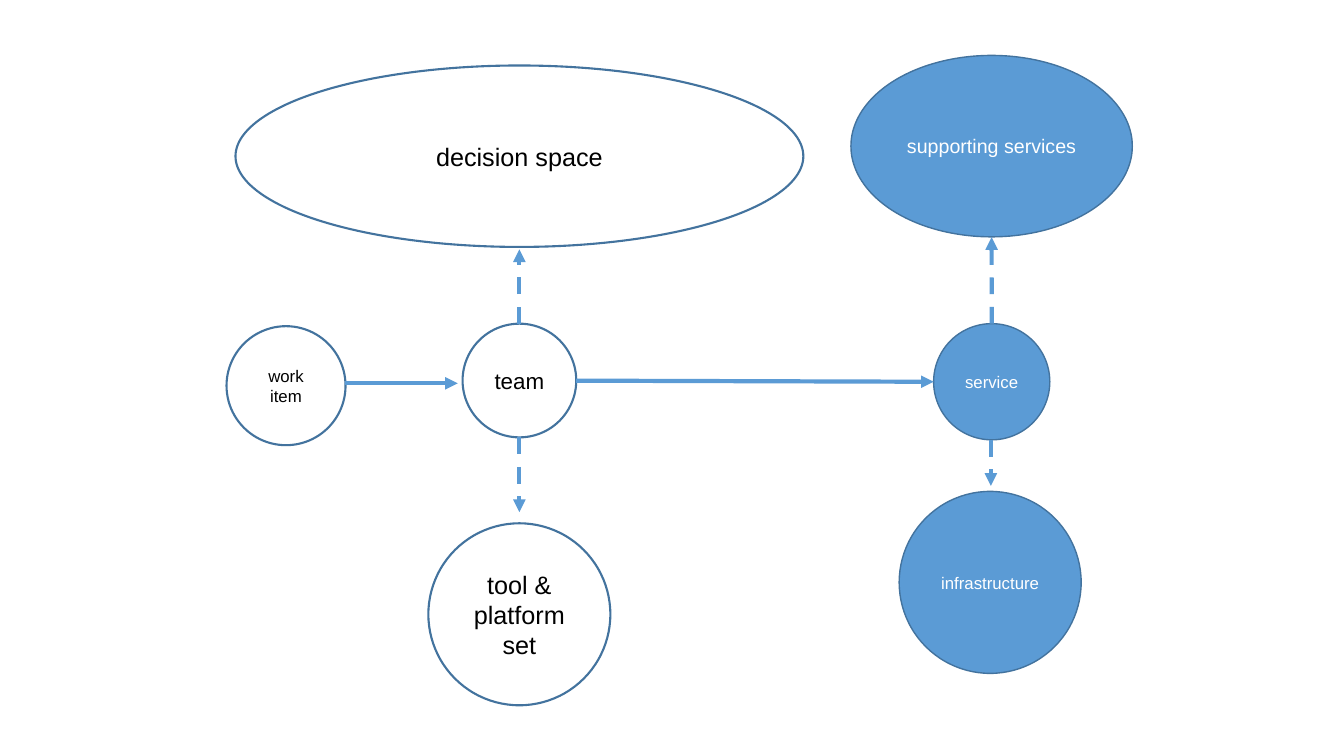
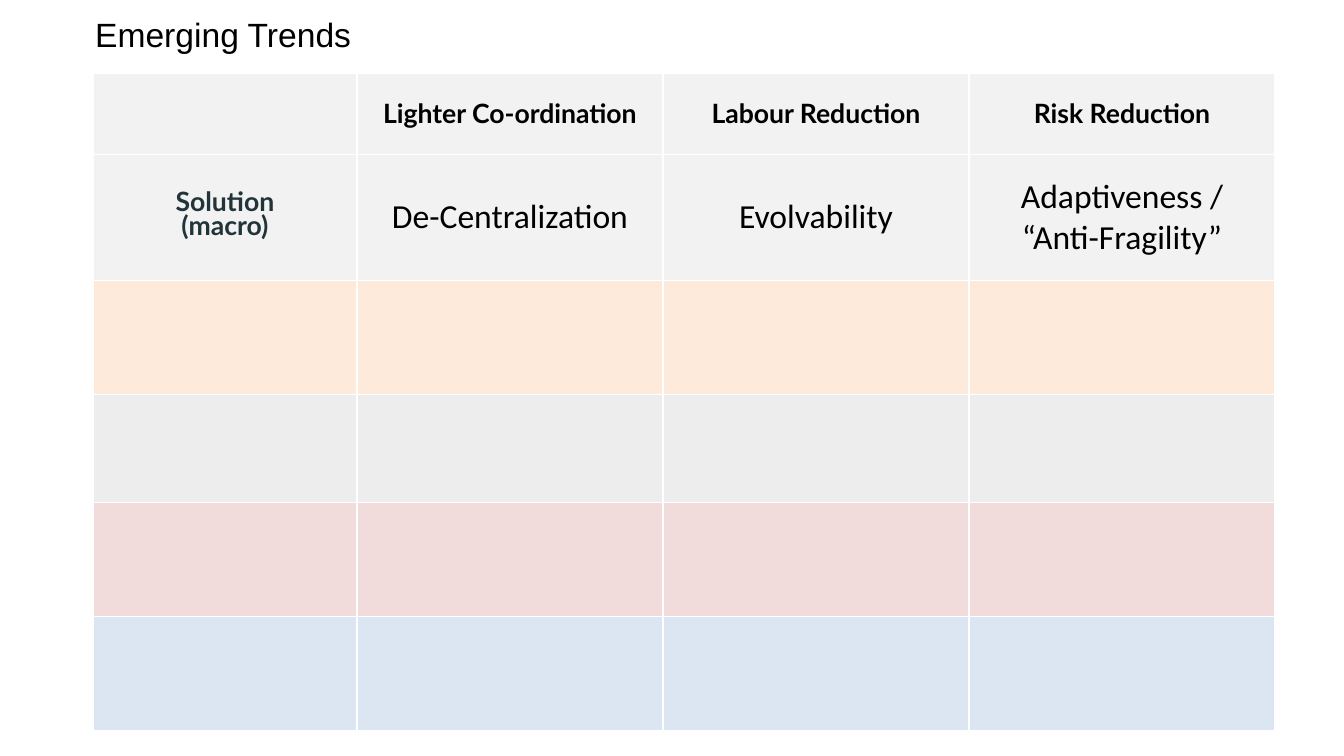
from dataclasses import dataclass

from lxml.etree import Element, SubElement
from pptx import Presentation
from pptx.dml.color import RGBColor
from pptx.enum.dml import MSO_LINE
from pptx.enum.shapes import MSO_CONNECTOR, MSO_SHAPE
from pptx.enum.text import MSO_ANCHOR, MSO_AUTO_SIZE, PP_ALIGN
from pptx.oxml.ns import qn
from pptx.util import Pt


@dataclass(frozen=True)
class Theme:
    blue: str = "5B9BD5"
    edge: str = "43739E"
    white: str = "FFFFFF"
    black: str = "000000"
    slate: str = "20343A"
    rows: tuple = ("F2F2F2", "F2F2F2", "FDEADA", "EDEDED", "F2DCDB", "DCE6F2")
    sans: str = "Arial"
    head: str = "Lato"
    body: str = "Calibri"
    small: float = 12
    label: float = 14
    team: float = 16
    space: float = 18
    column: float = 19
    title: float = 24


THEME = Theme()
TITLE_ONLY, BLANK = 5, 6


def rgb(code):
    return RGBColor.from_string(code)


def style(frame, face, size, ink, bold=False, align=PP_ALIGN.CENTER):
    for para in frame.paragraphs:
        para.alignment = align
        for run in para.runs:
            run.font.name = face
            run.font.size = Pt(size)
            run.font.bold = bold
            run.font.color.rgb = rgb(ink)


def oval(slide, text, size, box, solid=False):
    shape = slide.shapes.add_shape(MSO_SHAPE.OVAL, *map(Pt, box))
    shape.shadow.inherit = False
    shape.fill.solid()
    shape.fill.fore_color.rgb = rgb(THEME.blue if solid else THEME.white)
    shape.line.color.rgb = rgb(THEME.edge)
    shape.line.width = Pt(1 if solid else 1.5)
    frame = shape.text_frame
    frame.word_wrap = True
    frame.vertical_anchor = MSO_ANCHOR.MIDDLE
    frame.text = text
    style(frame, THEME.sans, size, THEME.white if solid else THEME.black)
    return shape


def arrow(slide, start, end, dash=False):
    line = slide.shapes.add_connector(
        MSO_CONNECTOR.STRAIGHT, *map(Pt, start + end))
    line.line.color.rgb = rgb(THEME.blue)
    line.line.width = Pt(3)
    if dash:
        line.line.dash_style = MSO_LINE.DASH
    props = line._element.spPr
    SubElement(props.find(qn("a:ln")), qn("a:tailEnd"), type="triangle")
    SubElement(props, qn("a:effectLst"))
    return line


def border(cell, ink):
    props = cell._tc.get_or_add_tcPr()
    for spot, side in enumerate(("lnL", "lnR", "lnT", "lnB")):
        line = Element(qn(f"a:{side}"), w=str(Pt(1)))
        fill = SubElement(line, qn("a:solidFill"))
        SubElement(fill, qn("a:srgbClr"), val=ink)
        props.insert(spot, line)


def title(slide, text, box):
    shape = slide.shapes.title
    shape.left, shape.top, shape.width, shape.height = map(Pt, box)
    frame = shape.text_frame
    frame.word_wrap = True
    frame.auto_size = MSO_AUTO_SIZE.NONE
    frame.vertical_anchor = MSO_ANCHOR.TOP
    frame.text = text
    style(frame, THEME.sans, THEME.title, THEME.black, align=PP_ALIGN.LEFT)


def grid(slide, left, top, widths, heights, texts):
    frame = slide.shapes.add_table(
        len(heights), len(widths), Pt(left), Pt(top),
        Pt(sum(widths)), Pt(sum(heights)))
    table = frame.table
    for col, width in zip(table.columns, widths):
        col.width = Pt(width)
    for row, height in zip(table.rows, heights):
        row.height = Pt(height)
    for down, row in enumerate(table.rows):
        for across, cell in enumerate(row.cells):
            cell.fill.solid()
            cell.fill.fore_color.rgb = rgb(THEME.rows[down])
            border(cell, THEME.white)
            cell.vertical_anchor = MSO_ANCHOR.MIDDLE
            cell.margin_left = cell.margin_right = Pt(9.6)
            cell.margin_top = cell.margin_bottom = Pt(4.8)
            text = texts.get((down, across))
            if not text:
                continue
            cell.text_frame.text = text
            if down and across:
                style(cell.text_frame, THEME.body, THEME.title, THEME.black)
            else:
                ink = THEME.slate if down else THEME.black
                style(cell.text_frame, THEME.head, THEME.column, ink, True)
    return table


def flow(deck):
    slide = deck.slides.add_slide(deck.slide_layouts[BLANK])
    oval(slide, "decision space", THEME.space, (168.2, 46.8, 405.6, 129.6))
    oval(slide, "supporting services", THEME.label,
         (607.8, 39.6, 201, 129.6), True)
    oval(slide, "work item", THEME.small, (161.8, 233, 85, 85))
    team = oval(slide, "team", THEME.team, (330.4, 231.2, 81.2, 81.2))
    serve = oval(slide, "service", THEME.small, (666.9, 231.2, 83, 83), True)
    oval(slide, "tool & platform set", THEME.space, (306, 373.8, 130, 130))
    oval(slide, "infrastructure", THEME.small, (642.3, 351, 130, 130), True)

    arrow(slide, (246.8, 273.8), (327, 273.8))
    arrow(slide, (411.6, 271.9), (666.9, 272.7))
    arrow(slide, (371, 312.4), (371, 365.8), True)
    arrow(slide, (707.8, 314.2), (707.8, 347), True)
    for node, end in ((team, (371, 178.2)), (serve, (708.3, 169.4))):
        arrow(slide, (end[0], 231.2), end, True).begin_connect(node, 0)


def trends(deck):
    slide = deck.slides.add_slide(deck.slide_layouts[TITLE_ONLY])
    title(slide, "Emerging Trends", (60.8, 6.6, 247.6, 36))
    texts = {
        (0, 1): "Lighter Co-ordination",
        (0, 2): "Labour Reduction",
        (0, 3): "Risk Reduction",
        (1, 0): "Solution\n(macro)",
        (1, 1): "De-Centralization",
        (1, 2): "Evolvability",
        (1, 3): "Adaptiveness / “Anti-Fragility”",
    }
    table = grid(slide, 66.4, 52.2, [188.6] + [218.6] * 3,
                 [58, 90.2, 81.4, 77.2, 81.4, 81.4], texts)
    for para in table.cell(1, 0).text_frame.paragraphs:
        para.line_spacing = Pt(17.2)


def main():
    deck = Presentation()
    deck.slide_width, deck.slide_height = Pt(960), Pt(540)
    flow(deck)
    trends(deck)
    deck.save("out.pptx")


if __name__ == "__main__":
    main()
